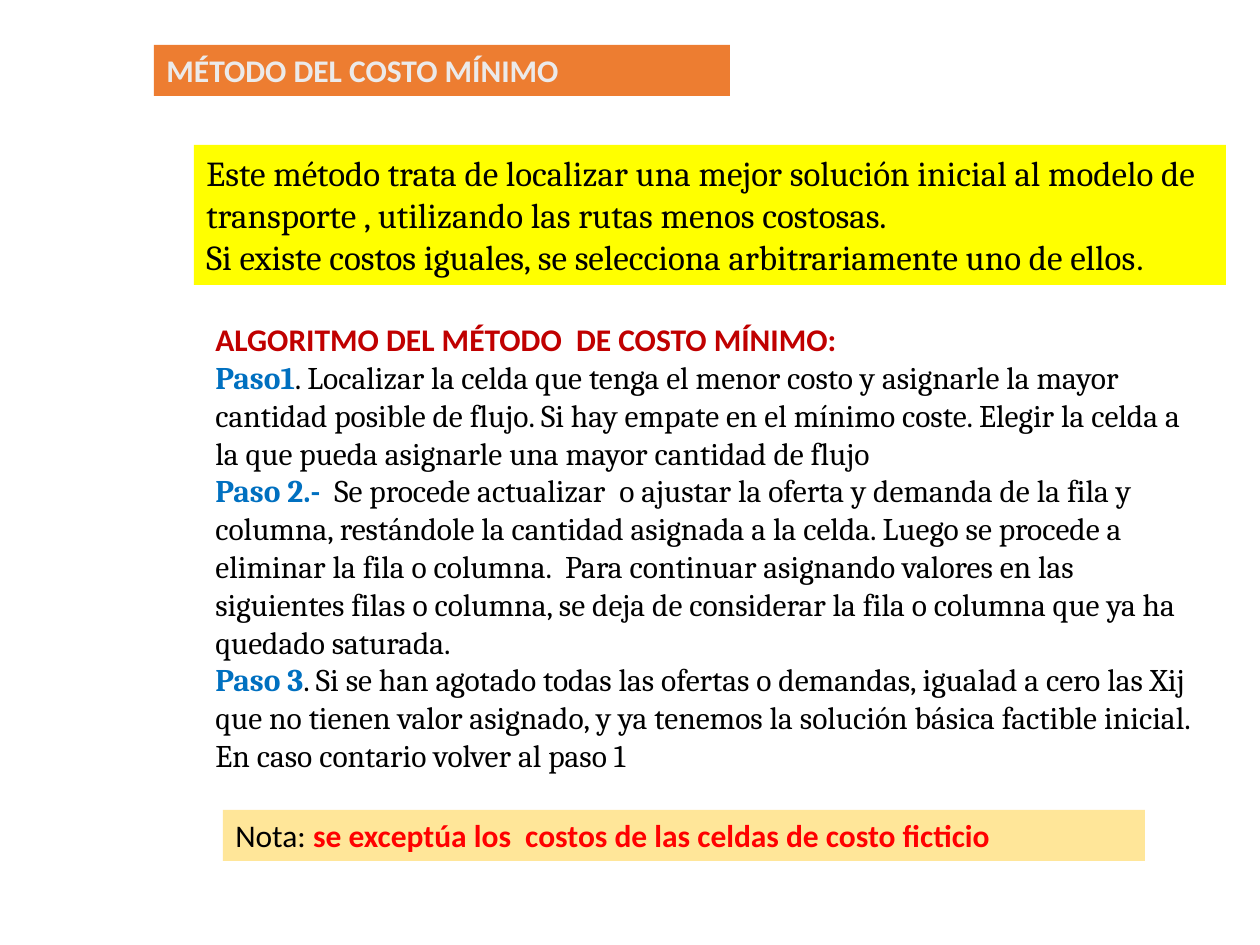
"""Build the slide on the minimum cost method."""
from dataclasses import dataclass
from typing import Optional

import pptx
import pptx.dml.color
import pptx.enum.shapes
import pptx.enum.text
import pptx.slide
import pptx.text.text
import pptx.util

SCALE = 914400 / 126


@dataclass(frozen=True)
class Theme:
    sans: str = "Calibri"
    serif: str = "Cambria"
    body: int = 18
    lead: int = 20
    orange: str = "ED7D31"
    yellow: str = "FFFF00"
    cream: str = "FFE699"
    pale: str = "EBEAEA"
    black: str = "000000"
    wine: str = "C00000"
    blue: str = "0070C0"
    red: str = "FF0000"


THEME = Theme()


@dataclass(frozen=True)
class Run:
    text: str
    color: str = THEME.black
    font: str = THEME.sans
    size: int = THEME.body
    bold: bool = False


@dataclass(frozen=True)
class Box:
    left: int
    top: int
    width: int
    height: int
    lines: list[list[Run]]
    fill: Optional[str] = None


def px(num: int) -> pptx.util.Emu:
    return pptx.util.Emu(round(num * SCALE))


def rgb(code: str) -> pptx.dml.color.RGBColor:
    return pptx.dml.color.RGBColor.from_string(code)


def lead(text: str) -> Run:
    return Run(text, font=THEME.serif, size=THEME.lead)


def step(label: str, text: str) -> list[Run]:
    return [Run(label, THEME.blue, THEME.serif, bold=True),
            Run(text, font=THEME.serif)]


def add_run(para: pptx.text.text._Paragraph, item: Run) -> None:
    run = para.add_run()
    run.text = item.text
    run.font.name = item.font
    run.font.size = pptx.util.Pt(item.size)
    run.font.bold = item.bold
    run.font.color.rgb = rgb(item.color)


def add_box(slide: pptx.slide.Slide, box: Box) -> None:
    area = [px(num) for num in (box.left, box.top, box.width, box.height)]
    if box.fill:
        kind = pptx.enum.shapes.MSO_SHAPE.RECTANGLE
        shape = slide.shapes.add_shape(kind, *area)
        shape.shadow.inherit = False
        shape.fill.solid()
        shape.fill.fore_color.rgb = rgb(box.fill)
        shape.line.fill.background()
    else:
        shape = slide.shapes.add_textbox(*area)
    frame = shape.text_frame
    frame.word_wrap = True
    frame.auto_size = pptx.enum.text.MSO_AUTO_SIZE.SHAPE_TO_FIT_TEXT
    frame.vertical_anchor = pptx.enum.text.MSO_ANCHOR.TOP
    for row, line in enumerate(box.lines):
        para = frame.add_paragraph() if row else frame.paragraphs[0]
        para.alignment = pptx.enum.text.PP_ALIGN.LEFT
        for item in line:
            add_run(para, item)


BOXES = [
    Box(154, 45, 576, 51,
        [[Run("MÉTODO DEL COSTO MÍNIMO", THEME.pale, bold=True)]],
        THEME.orange),
    Box(194, 145, 1032, 140, [
        [lead("Este método trata de localizar una mejor solución inicial al "
              "modelo de transporte , utilizando las rutas menos costosas.")],
        [lead("Si existe costos iguales, se selecciona arbitrariamente uno "
              "de ellos"), Run(".")],
    ], THEME.yellow),
    Box(203, 314, 1012, 471, [
        [Run("ALGORITMO DEL MÉTODO  DE COSTO MÍNIMO:", THEME.wine, bold=True)],
        step("Paso1",
             ". Localizar la celda que tenga el menor costo y asignarle la "
             "mayor cantidad posible de flujo. Si hay empate en el mínimo "
             "coste. Elegir la celda a la que pueda asignarle una mayor "
             "cantidad de flujo"),
        step("Paso 2.-  ",
             "Se procede actualizar  o ajustar la oferta y demanda de la fila "
             "y columna, restándole la cantidad asignada a la celda. Luego se "
             "procede a eliminar la fila o columna.  Para continuar asignando "
             "valores en las siguientes filas o columna, se deja de "
             "considerar la fila o columna que ya ha quedado saturada."),
        step("Paso 3",
             ". Si se han agotado todas las ofertas o demandas, igualad a "
             "cero las Xij que no tienen valor asignado, y ya tenemos la "
             "solución básica factible inicial. En caso contario volver al "
             "paso 1"),
    ]),
    Box(223, 810, 922, 51, [[
        Run("Nota: "),
        Run("se exceptúa los  costos de las celdas de costo ficticio",
            THEME.red, bold=True),
    ]], THEME.cream),
]


def main() -> None:
    deck = pptx.Presentation()
    deck.slide_width, deck.slide_height = px(1260), px(945)
    slide = deck.slides.add_slide(deck.slide_layouts[6])
    for box in BOXES:
        add_box(slide, box)
    deck.save("out.pptx")


if __name__ == "__main__":
    main()
